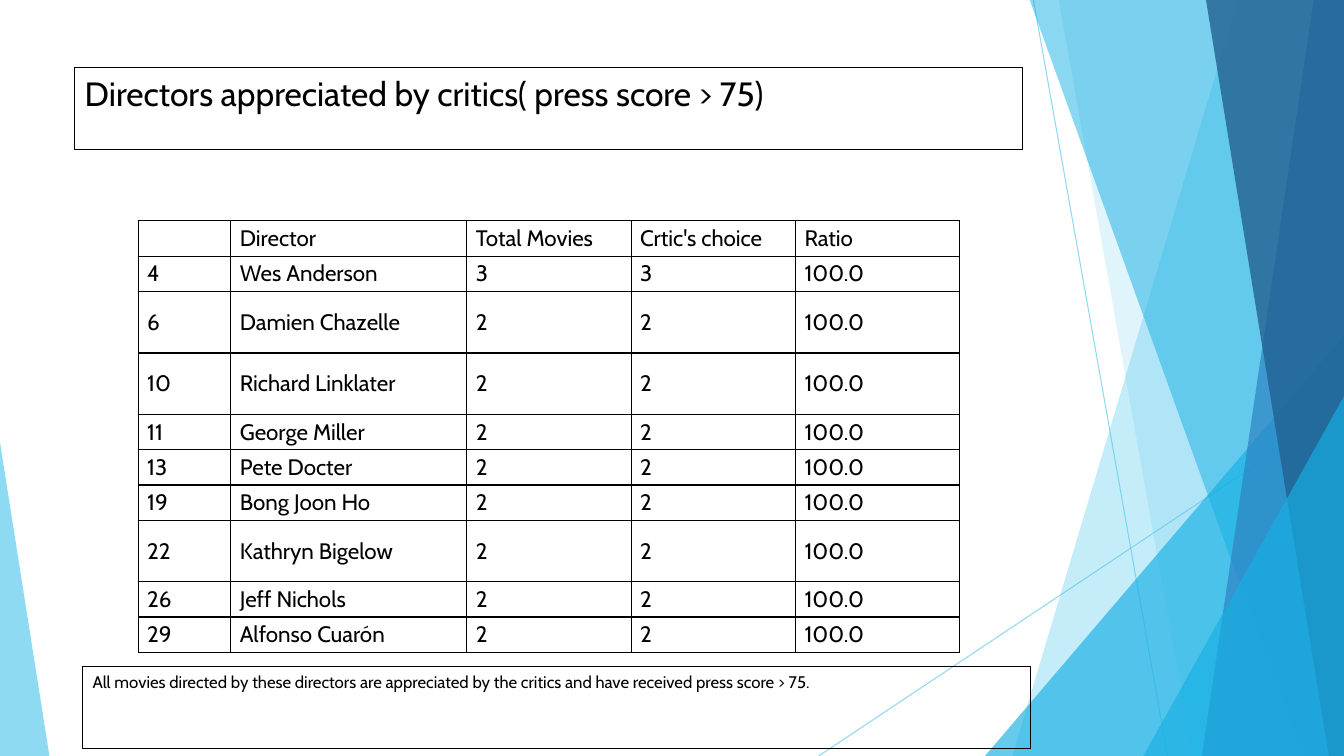
from lxml import etree
from pptx import Presentation
from pptx.dml.color import RGBColor
from pptx.enum.shapes import MSO_CONNECTOR, MSO_SHAPE
from pptx.enum.text import MSO_ANCHOR, MSO_AUTO_SIZE, PP_ALIGN
from pptx.oxml.ns import qn
from pptx.util import Pt

PX = 9144  # 100 px to the inch
WIDTH, HEIGHT = 1333, 750
FONT = "Cabin"
BLACK = RGBColor(0x00, 0x00, 0x00)
SKY = RGBColor(0x5F, 0xCB, 0xEF)
CYAN = RGBColor(0x17, 0xB0, 0xE4)
BLUE = RGBColor(0x2E, 0x83, 0xC3)
NAVY = RGBColor(0x22, 0x62, 0x92)
STRAIGHT = MSO_CONNECTOR.STRAIGHT
TRIANGLE = MSO_SHAPE.ISOSCELES_TRIANGLE
TOP, MIDDLE = MSO_ANCHOR.TOP, MSO_ANCHOR.MIDDLE
LEFT, NO_AUTOFIT = PP_ALIGN.LEFT, MSO_AUTO_SIZE.NONE

TITLE = "Directors appreciated by critics( press score > 75)"
NOTE = ("All movies directed by these directors are appreciated by the critics "
        "and have received press score > 75.")
HEADINGS = ["", "Director", "Total Movies", "Crtic's choice", "Ratio"]
# Rank, director, movies (all of them chosen by the critics), row height
DIRECTORS = [
    ("4", "Wes Anderson", "3", 35),
    ("6", "Damien Chazelle", "2", 61),
    ("10", "Richard Linklater", "2", 61),
    ("11", "George Miller", "2", 35),
    ("13", "Pete Docter", "2", 35),
    ("19", "Bong Joon Ho", "2", 35),
    ("22", "Kathryn Bigelow", "2", 61),
    ("26", "Jeff Nichols", "2", 35),
    ("29", "Alfonso Cuarón", "2", 35),
]
COLUMN_WIDTHS = [92, 234, 163, 163, 163]
HEADING_HEIGHT = 35


def px(*lengths):
    return [length * PX for length in lengths]


def set_alpha(element, percent):
    color = element.find(".//" + qn("a:srgbClr"))
    etree.SubElement(color, qn("a:alpha"), val=str(percent * 1000))


def paint(facet, color, alpha):
    facet.shadow.inherit = False
    facet.fill.solid()
    facet.fill.fore_color.rgb = color
    set_alpha(facet._element.spPr.find(qn("a:solidFill")), alpha)
    facet.line.fill.background()


def add_ray(slide, start, end):
    ray = slide.shapes.add_connector(STRAIGHT, *px(*start, *end))
    ray.line.color.rgb = SKY
    ray.line.width = Pt(0.75)
    properties = ray._element.spPr
    set_alpha(properties, 70)
    etree.SubElement(properties, qn("a:effectLst"))


def add_band(slide, top_left, bottom_left, color, alpha):
    """Band from a slanted left edge to the right edge of the slide."""
    builder = slide.shapes.build_freeform(top_left, -1, scale=PX)
    builder.add_line_segments([(WIDTH, -1), (WIDTH, HEIGHT), (bottom_left, HEIGHT)])
    paint(builder.convert_to_shape(), color, alpha)


def add_corner(slide, left, top, width, apex, color, alpha):
    """Right triangle standing on the bottom edge of the slide."""
    corner = slide.shapes.add_shape(TRIANGLE, *px(left, top, width, HEIGHT - top))
    corner.adjustments[0] = apex
    paint(corner, color, alpha)


def add_backdrop(slide):
    add_ray(slide, (1025, 0), (1158, HEIGHT))
    add_ray(slide, (WIDTH, 403), (812, HEIGHT))
    add_band(slide, 1228, 1004, SKY, 36)
    add_band(slide, 1050, 1183, SKY, 20)
    add_corner(slide, 977, 333, 356, 1, CYAN, 66)
    add_band(slide, 1021, 1291, CYAN, 50)
    add_band(slide, 1303, 1192, BLUE, 70)
    add_band(slide, 1196, 1318, NAVY, 80)
    add_corner(slide, 1134, 393, 199, 1, CYAN, 66)
    add_corner(slide, 0, 439, 49, 0, SKY, 70)


def format_text(paragraph, size):
    paragraph.alignment = LEFT
    for run in paragraph.runs:
        run.font.size = Pt(size)
        run.font.name = FONT
        run.font.color.rgb = BLACK


def fill_frame(box, left, top, text, size):
    """Place a framed text; both frames share one size."""
    box.left, box.top, box.width, box.height = px(left, top, 940, 81)
    box.fill.background()
    box.line.color.rgb = BLACK
    box.line.width = Pt(0.5)
    frame = box.text_frame
    frame.text = text
    frame.word_wrap = True
    frame.auto_size = NO_AUTOFIT
    frame.vertical_anchor = TOP
    format_text(frame.paragraphs[0], size)


def add_borders(cell):
    properties = cell._tc.get_or_add_tcPr()
    for side in ("a:lnL", "a:lnR", "a:lnT", "a:lnB"):
        border = etree.SubElement(properties, qn(side), w=str(Pt(1)))
        fill = etree.SubElement(border, qn("a:solidFill"))
        etree.SubElement(fill, qn("a:srgbClr"), val=str(BLACK))


def fill_cell(cell, text):
    cell.text = text
    cell.vertical_anchor = MIDDLE
    cell.margin_left, cell.margin_right, cell.margin_top, cell.margin_bottom = px(9, 9, 4, 4)
    add_borders(cell)
    cell.fill.background()
    paragraph = cell.text_frame.paragraphs[0]
    format_text(paragraph, 16)
    if not text:  # keeps the empty heading as low as the others
        etree.SubElement(paragraph._p, qn("a:endParaRPr"), sz="1600")


def add_director_table(slide):
    rows = [HEADINGS]
    heights = [HEADING_HEIGHT]
    for rank, director, movies, height in DIRECTORS:
        rows.append([rank, director, movies, movies, "100.0"])
        heights.append(height)
    frame = slide.shapes.add_table(
        len(rows), len(HEADINGS), *px(137, 219, sum(COLUMN_WIDTHS), sum(heights)))
    directors = frame.table
    directors.first_row = directors.horz_banding = False
    for column, width in zip(directors.columns, COLUMN_WIDTHS):
        column.width = width * PX
    for row, height, texts in zip(directors.rows, heights, rows):
        row.height = height * PX
        for cell, text in zip(row.cells, texts):
            fill_cell(cell, text)


def main():
    deck = Presentation()
    deck.slide_width, deck.slide_height = px(WIDTH, HEIGHT)
    slide = deck.slides.add_slide(deck.slide_layouts[5])

    # Blue facets
    add_backdrop(slide)

    # Title, table and closing note
    fill_frame(slide.shapes.title, 74, 67, TITLE, 24)
    add_director_table(slide)
    note = slide.shapes.add_textbox(*px(82, 661, 940, 81))
    fill_frame(note, 82, 661, NOTE, 12)

    deck.save("out.pptx")


if __name__ == "__main__":
    main()
